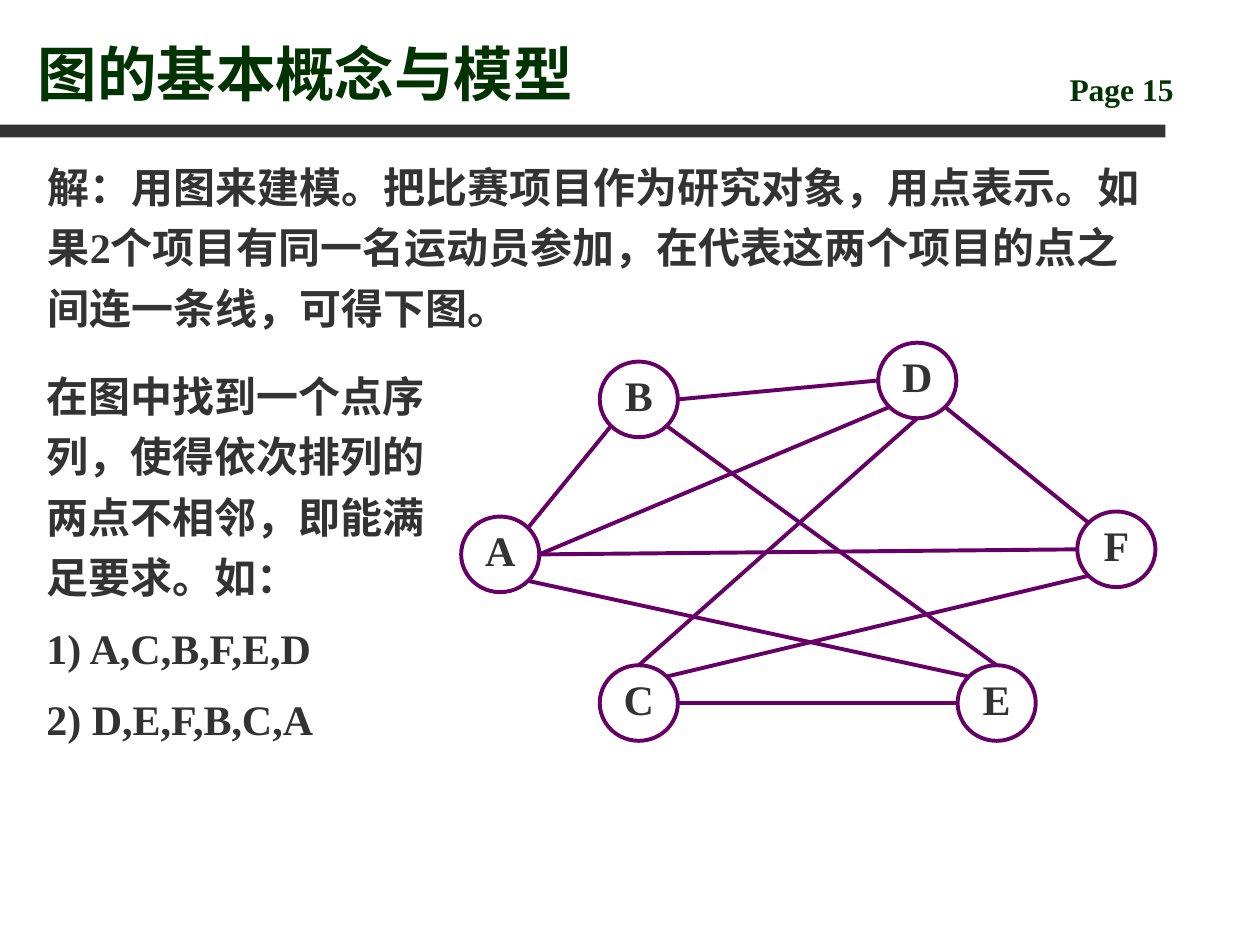
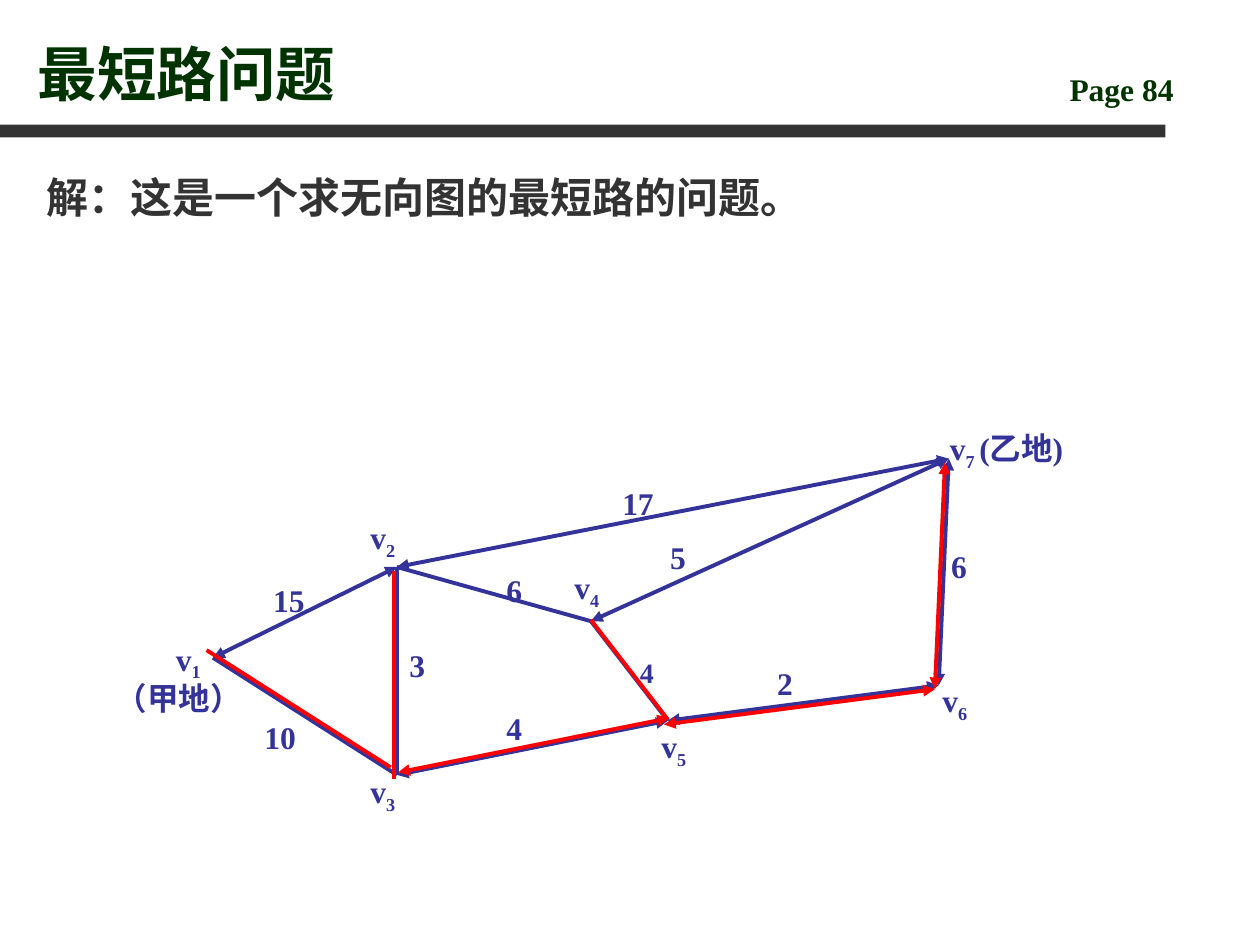
from math import cos, radians, sin

from lxml.etree import SubElement
from pptx import Presentation
from pptx.dml.color import RGBColor
from pptx.enum.shapes import MSO_CONNECTOR, MSO_SHAPE
from pptx.enum.text import MSO_ANCHOR, MSO_AUTO_SIZE, PP_ALIGN
from pptx.oxml.ns import qn
from pptx.util import Emu, Pt

EMU_PER_PX = 9144  # 100 px to the inch
FONT = "Times New Roman"
GREEN, GREY, PURPLE, BLUE, RED = "003300", "333333", "660066", "333399", "FF0000"
NODE_W, NODE_H = 62, 60


def px(n):
    return Emu(n * EMU_PER_PX)


def rgb(value):
    return RGBColor.from_string(value)


class Deck:
    def __init__(self):
        self.prs = Presentation()
        self.prs.slide_width, self.prs.slide_height = px(1000), px(750)
        self.s = None

    def new_slide(self, title, page):
        self.s = self.prs.slides.add_slide(self.prs.slide_layouts[1])
        band = self.s.shapes.add_shape(MSO_SHAPE.RECTANGLE, 0, px(99), px(925), px(10))
        band.shadow.inherit = False
        band.fill.solid()
        band.fill.fore_color.rgb = rgb(GREY)
        band.line.fill.background()
        self.label(839, 51, 142, 40, f"Page {page}", color=GREEN)
        p = self.place(self.s.shapes.title, 20, 13, 803, 78, MSO_ANCHOR.BOTTOM)
        p.alignment = PP_ALIGN.LEFT
        self.run(p, title, 34, GREEN)

    def place(self, sp, x, y, w, h, anchor=MSO_ANCHOR.TOP):
        """Move a text shape, set up its frame and return its first paragraph."""
        sp.left, sp.top, sp.width, sp.height = px(x), px(y), px(w), px(h)
        tf = sp.text_frame
        tf.word_wrap = True
        tf.auto_size = MSO_AUTO_SIZE.NONE
        tf.vertical_anchor = anchor
        return tf.paragraphs[0]

    def run(self, p, text, size, color, subscript=False):
        r = p.add_run()
        r.text = text
        r.font.name, r.font.size, r.font.bold = FONT, Pt(size), True
        r.font.color.rgb = rgb(color)
        if subscript:
            r.font._element.set("baseline", "-25000")

    def body(self, x, y, w, h, text):
        p = self.place(self.s.placeholders[1], x, y, w, h)
        pPr = p._p.get_or_add_pPr()
        pPr.set("marL", "0")
        pPr.set("indent", "0")
        SubElement(pPr, qn("a:buNone"))
        p.line_spacing, p.space_before = 1.2, Pt(0)
        self.run(p, text, 24, GREY)

    def text_box(self, x, y, w, h):
        return self.place(self.s.shapes.add_textbox(0, 0, 0, 0), x, y, w, h)

    def label(self, x, y, w, h, text, sub="", tail="", size=18, color=BLUE):
        p = self.text_box(x, y, w, h)
        self.run(p, text, size, color)
        if sub:
            self.run(p, sub, size, color, subscript=True)
        if tail:
            self.run(p, tail, size, color)
        return p

    def paragraphs(self, x, y, w, h, texts):
        p = self.text_box(x, y, w, h)
        tf = p._parent
        for i, text in enumerate(texts):
            if i:
                p = tf.add_paragraph()
                p.space_before = Pt(6)
            p.line_spacing = 1.2
            self.run(p, text, 24, GREY)

    def node(self, x, y, name):
        sp = self.s.shapes.add_shape(MSO_SHAPE.OVAL, 0, 0, 0, 0)
        sp.shadow.inherit = False
        sp.fill.background()
        sp.line.color.rgb = rgb(PURPLE)
        sp.line.width = Pt(2.25)
        p = self.place(sp, x, y, NODE_W, NODE_H, MSO_ANCHOR.MIDDLE)
        sp.text_frame.word_wrap = False
        p.alignment, p.line_spacing = PP_ALIGN.CENTER, 0.8
        self.run(p, name, 24, GREY)

    def line(self, start, end, color, arrows=False):
        c = self.s.shapes.add_connector(MSO_CONNECTOR.STRAIGHT, *map(px, start + end))
        c.line.color.rgb = rgb(color)
        c.line.width = Pt(2.25)
        if arrows:
            for tag in ("a:headEnd", "a:tailEnd"):
                SubElement(c.line._get_or_add_ln(), qn(tag), type="triangle")
        SubElement(c._element.spPr, qn("a:effectLst"))


def rim(corner, site):
    """Point on a node's rim; sites run anticlockwise from the top in steps of 45 degrees."""
    a = radians(90 + 45 * site)
    x, y = corner
    return (round(x + NODE_W / 2 * (1 + cos(a))), round(y + NODE_H / 2 * (1 - sin(a))))


def events_slide(d):
    d.new_slide("图的基本概念与模型", 15)
    d.body(28, 115, 890, 165,
           "解：用图来建模。把比赛项目作为研究对象，用点表示。如果2个项目有同一名运动员参加，"
           "在代表这两个项目的点之间连一条线，可得下图。")
    events = {"A": (366, 410), "B": (476, 287), "C": (476, 528),
              "D": (697, 272), "E": (760, 528), "F": (855, 406)}
    for name, corner in events.items():
        d.node(*corner, name)
    shared = [("A", 7, "B", 3), ("A", 6, "D", 3), ("A", 5, "E", 1), ("B", 6, "D", 2),
              ("D", 5, "F", 1), ("D", 4, "C", 0), ("B", 5, "E", 0), ("C", 7, "F", 3),
              ("C", 6, "E", 2), ("A", 6, "F", 2)]
    for a, site_a, b, site_b in shared:
        d.line(rim(events[a], site_a), rim(events[b], site_b), PURPLE)
    d.paragraphs(27, 281, 339, 315,
                 ["在图中找到一个点序列，使得依次排列的两点不相邻，即能满足要求。如：",
                  "1) A,C,B,F,E,D", "2) D,E,F,B,C,A"])


def shortest_path_slide(d):
    d.new_slide("最短路问题", 84)
    d.body(27, 123, 890, 63, "解：这是一个求无向图的最短路的问题。")

    p = d.label(75, 514, 134, 58, "v", "1")
    p._p.get_or_add_pPr().set("marL", str(px(15)))
    place_name = p._parent.add_paragraph()
    place_name.space_before = Pt(11.2)
    d.run(place_name, "（甲地）", 18, BLUE)
    for p in p._parent.paragraphs:
        p.alignment, p.line_spacing = PP_ALIGN.CENTER, 0.5

    towns = {1: (169, 522), 2: (315, 450), 3: (315, 615), 4: (469, 493),
             5: (530, 572), 6: (745, 544), 7: (753, 364)}
    # from, to, arrows, length, label corner, label size, shift of the red line
    roads = [(1, 2, True, "15", (207, 456), 18, None),
             (1, 3, False, "10", (200, 565), 18, (-5, -6)),
             (2, 3, False, "3", (315, 508), 18, (-2, 3)),
             (3, 5, True, "4", (392, 558), 18, (1, -2)),
             (2, 4, False, "6", (392, 448), 18, None),
             (4, 5, False, "4", (498, 515), 16, (0, -1)),
             (2, 7, True, "17", (484, 379), 18, None),
             (4, 7, True, "5", (522, 422), 18, None),
             (5, 6, True, "2", (607, 522), 18, (-3, 3)),
             (7, 6, True, "6", (745, 429), 18, (-3, 3))]
    for a, b, arrows, *_ in roads:
        d.line(towns[a], towns[b], BLUE, arrows)
    for *_, length, corner, size, _ in roads:
        d.label(*corner, 61, 40, length, size=size)

    for number, corner in {2: (284, 406), 3: (284, 608), 4: (446, 446),
                           5: (515, 572), 6: (738, 536)}.items():
        d.label(*corner, 61, 44, "v", str(number))
    d.label(744, 336, 157, 44, "v", "7 ", "(乙地)")

    for a, b, arrows, *_, shift in roads:
        if shift:
            start, end = (tuple(t + k for t, k in zip(towns[n], shift)) for n in (a, b))
            d.line(start, end, RED, arrows)


def main():
    d = Deck()
    events_slide(d)
    shortest_path_slide(d)
    d.prs.save("out.pptx")


if __name__ == "__main__":
    main()
